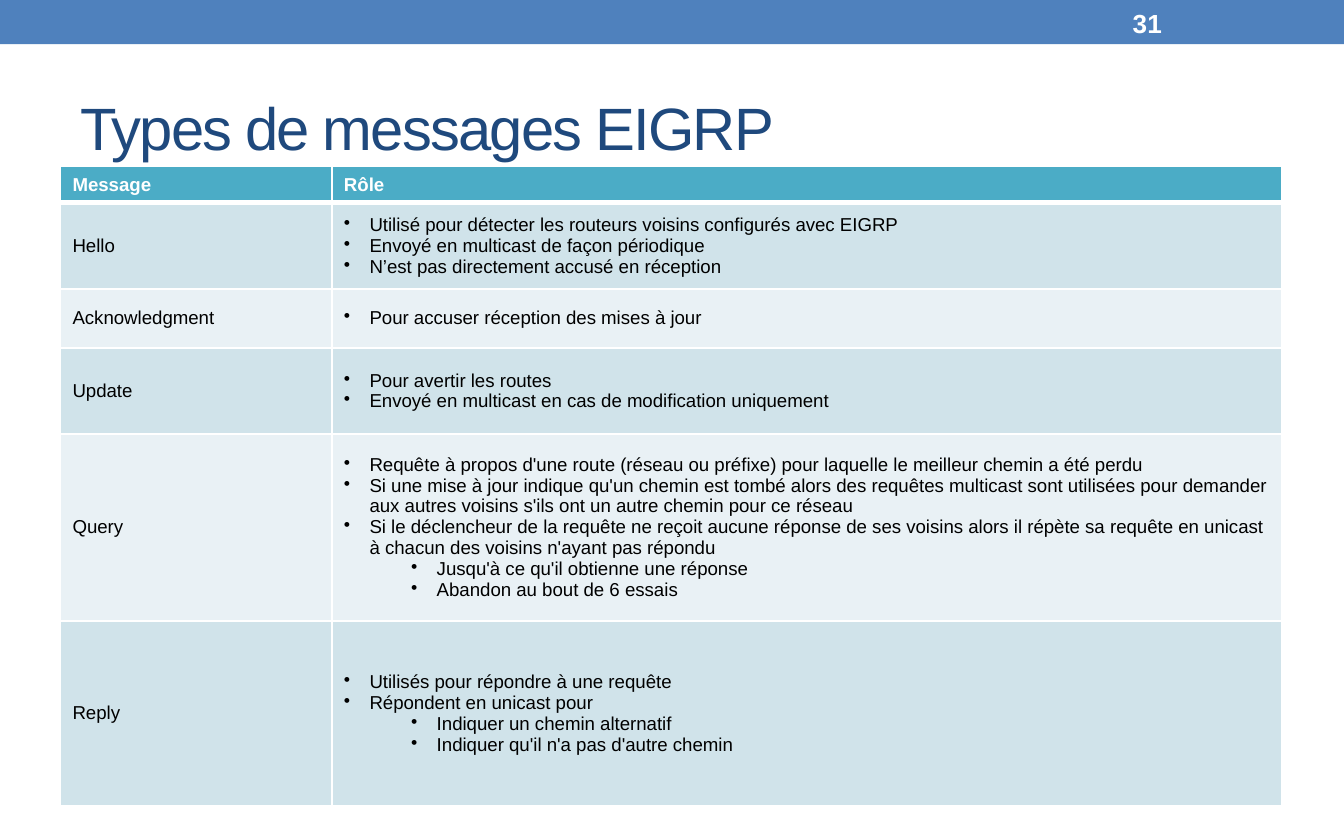
import pptx
import pptx.util
import pptx.oxml
import pptx.oxml.ns
import pptx.dml.color
import pptx.enum.shapes
import pptx.enum.text

Inches = pptx.util.Inches
Pt = pptx.util.Pt
RGBColor = pptx.dml.color.RGBColor
MIDDLE = pptx.enum.text.MSO_ANCHOR.MIDDLE

WHITE = RGBColor(0xFF, 0xFF, 0xFF)
BLACK = RGBColor(0, 0, 0)
BLUE = RGBColor(0x4F, 0x81, 0xBD)
NAVY = RGBColor(0x1F, 0x49, 0x7D)
TEAL = RGBColor(0x4B, 0xAC, 0xC6)
BANDS = (RGBColor(0xD0, 0xE3, 0xEA), RGBColor(0xE9, 0xF1, 0xF5))

COLS = (2.02, 7.07)
HEADS = ("Message", "Rôle")
HEAD_TALL = 0.27
# Message, row height, role lines as (level, text)
ROLES = (
    ("Hello", 0.64, (
        (0, "Utilisé pour détecter les routeurs voisins configurés avec EIGRP"),
        (0, "Envoyé en multicast de façon périodique"),
        (0, "N’est pas directement accusé en réception"))),
    ("Acknowledgment", 0.44, (
        (0, "Pour accuser réception des mises à jour"),)),
    ("Update", 0.64, (
        (0, "Pour avertir les routes"),
        (0, "Envoyé en multicast en cas de modification uniquement"))),
    ("Query", 1.39, (
        (0, "Requête à propos d'une route (réseau ou préfixe) pour laquelle "
            "le meilleur chemin a été perdu"),
        (0, "Si une mise à jour indique qu'un chemin est tombé alors des requêtes "
            "multicast sont utilisées pour demander aux autres voisins s'ils ont "
            "un autre chemin pour ce réseau"),
        (0, "Si le déclencheur de la requête ne reçoit aucune réponse de ses voisins "
            "alors il répète sa requête en unicast à chacun des voisins n'ayant pas "
            "répondu"),
        (1, "Jusqu'à ce qu'il obtienne une réponse"),
        (1, "Abandon au bout de 6 essais"))),
    ("Reply", 1.38, (
        (0, "Utilisés pour répondre à une requête"),
        (0, "Répondent en unicast pour"),
        (1, "Indiquer un chemin alternatif"),
        (1, "Indiquer qu'il n'a pas d'autre chemin"))),
)


def set_font(para, size, color, bold=False):
    font = para.font
    font.name, font.size, font.bold = "Arial", Pt(size), bold
    font.color.rgb = color


def add_text(slide, box, text, size, color, bold=False):
    frame = slide.shapes.add_textbox(*map(Inches, box)).text_frame
    frame.word_wrap = True
    frame.vertical_anchor = MIDDLE
    para = frame.paragraphs[0]
    para.text = text
    set_font(para, size, color, bold)
    return para


def add_band(slide, box):
    band = slide.shapes.add_shape(
        pptx.enum.shapes.MSO_SHAPE.RECTANGLE, *map(Inches, box))
    band.shadow.inherit = False
    band.fill.solid()
    band.fill.fore_color.rgb = BLUE
    band.line.fill.background()


def add_title(slide, box):
    para = add_text(slide, box, "Types de messages EIGRP", 32, NAVY)
    para.runs[0].font._element.set("spc", "-100")


def set_bullet(para, level):
    para.level = level
    props = para._p.get_or_add_pPr()
    props.set("marL", str(Inches(0.19 + 0.5 * level)))
    props.set("indent", str(Inches(-0.19)))
    bullet = pptx.oxml.parse_xml(
        f'<a:buChar {pptx.oxml.ns.nsdecls("a")} char="•"/>')
    props.insert_element_before(bullet, "a:tabLst", "a:defRPr", "a:extLst")


def set_edges(cell, top, bottom):
    """Draw white cell borders; top and bottom are widths in points."""
    props = cell._tc.get_or_add_tcPr()
    for side, width in (("L", 1), ("R", 1), ("T", top), ("B", bottom)):
        props.append(pptx.oxml.parse_xml(
            f'<a:ln{side} {pptx.oxml.ns.nsdecls("a")} w="{Pt(width)}">'
            f'<a:solidFill><a:srgbClr val="{WHITE}"/></a:solidFill></a:ln{side}>'))


def fill_cell(cell, lines, fill, color, bold=False, listed=False):
    cell.fill.solid()
    cell.fill.fore_color.rgb = fill
    cell.vertical_anchor = MIDDLE
    cell.margin_left = cell.margin_right = Inches(0.09)
    frame = cell.text_frame
    for i, (level, text) in enumerate(lines):
        para = frame.add_paragraph() if i else frame.paragraphs[0]
        para.text = text
        set_font(para, 10, color, bold)
        if listed:
            set_bullet(para, level)


def add_roles(slide, box):
    table = slide.shapes.add_table(
        len(ROLES) + 1, len(COLS), *map(Inches, box)).table
    table.horz_banding = False
    for col, width in zip(table.columns, COLS):
        col.width = Inches(width)
    talls = [HEAD_TALL] + [tall for _, tall, _ in ROLES]
    for r, tall in enumerate(talls):
        table.rows[r].height = Inches(tall)
        for c in range(len(COLS)):
            set_edges(table.cell(r, c), 3 if r == 1 else 1, 3 if r == 0 else 1)
    for c, head in enumerate(HEADS):
        fill_cell(table.cell(0, c), [(0, head)], TEAL, WHITE, bold=True)
    for r, (name, _, lines) in enumerate(ROLES):
        fill = BANDS[r % 2]
        fill_cell(table.cell(r + 1, 0), [(0, name)], fill, BLACK)
        fill_cell(table.cell(r + 1, 1), lines, fill, BLACK, listed=True)


def main():
    deck = pptx.Presentation()
    deck.slide_width, deck.slide_height = Inches(10), Inches(6.25)
    slide = deck.slides.add_slide(deck.slide_layouts[6])
    add_band(slide, (0, 0, 10, 0.33))
    add_title(slide, (0.5, 0.49, 9, 0.9))
    add_roles(slide, (0.45, 1.24, sum(COLS), 4.76))
    add_text(slide, (8.33, 0.02, 1.17, 0.3), "31", 14, WHITE, bold=True)
    deck.save("out.pptx")


if __name__ == "__main__":
    main()
